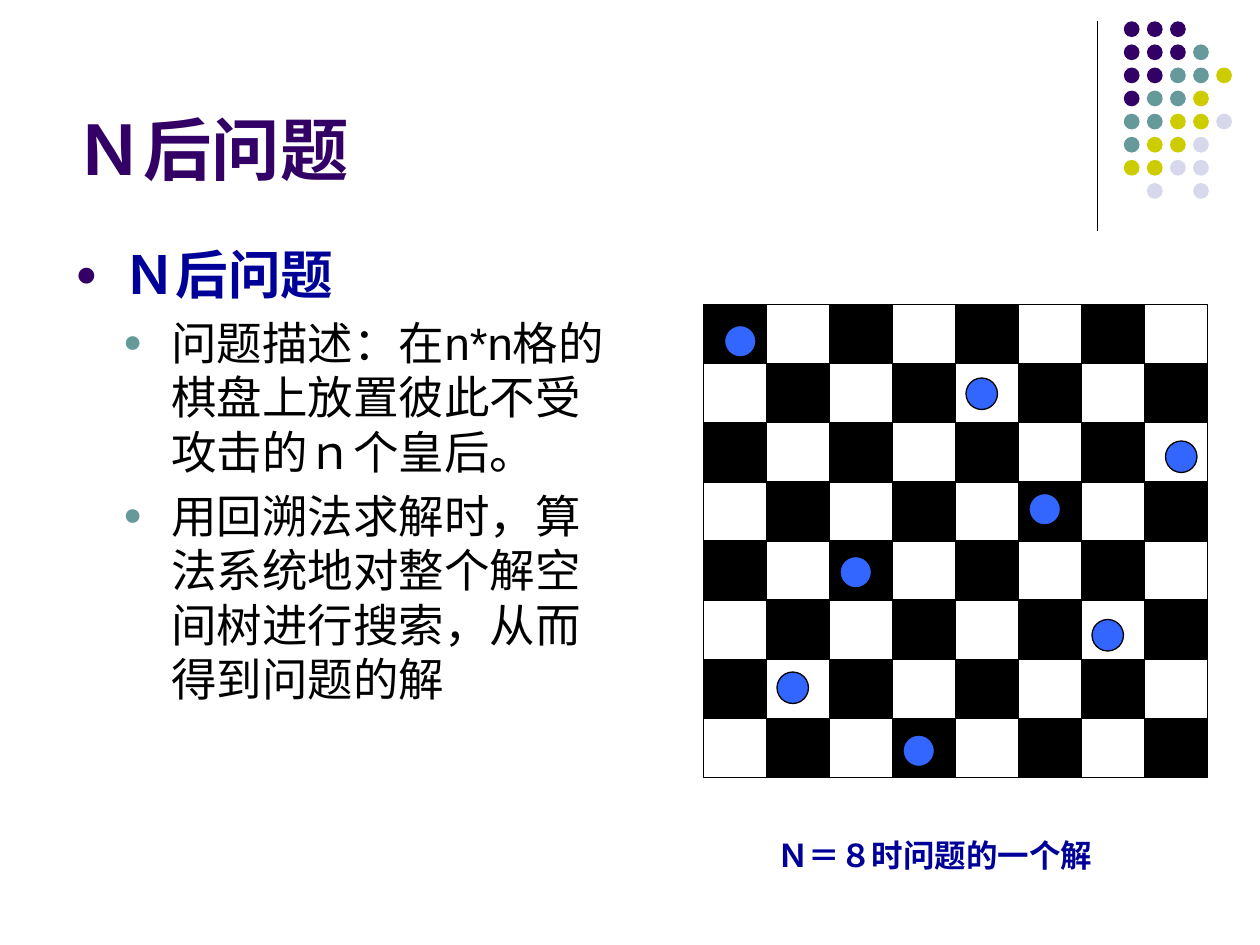
import pptx
import pptx.dml.color
import pptx.enum.shapes
import pptx.enum.text
import pptx.oxml.ns
import pptx.util
import lxml.etree

Pt = pptx.util.Pt
SHAPES = pptx.enum.shapes.MSO_SHAPE

THEME = {
    "font": "Arial",
    "title": "330066", "heading": "000099", "text": "000000",
    "bullet": "669999", "queen": "3366FF",
    "dark": "000000", "light": "FFFFFF", "outline": "000000",
    "dots": {"P": "330066", "T": "669999", "Y": "CCCC00", "L": "D8D8EC"},
    "title_size": 39, "heading_size": 30, "body_size": 26, "caption_size": 18,
}

TITLE = "Ｎ后问题"
BODY = [  # level, text
    (0, "Ｎ后问题"),
    (1, "问题描述：在n*n格的棋盘上放置彼此不受攻击的ｎ个皇后。"),
    (1, "用回溯法求解时，算法系统地对整个解空间树进行搜索，从而得到问题的解"),
]
CAPTION = "Ｎ＝８时问题的一个解"
DOT_ROWS = ["PPP", "PPPT", "PPTTY", "PTTY", "TTYYL", "TYYL", "YYLL", " L L"]
QUEENS = [  # left, top
    (414, 186), (552, 216), (666, 252), (588, 282),
    (480, 318), (624, 354), (444, 384), (516, 420),
]

DOT_LEFT, DOT_TOP, DOT_PITCH, DOT_SIZE = 642.2, 12.2, 13.2, 9
BOARD_LEFT, BOARD_TOP, BOARD_SIDE = 402, 174, 8
CELL_WIDTH, CELL_HEIGHT, QUEEN_SIZE = 36, 33.8, 18
INDENT = 27.36
LINE_RATIO = 1.2


def rgb(value):
    return pptx.dml.color.RGBColor.from_string(value)


def add_figure(shapes, kind, left, top, width, height, fill, outline=None):
    shape = shapes.add_shape(kind, Pt(left), Pt(top), Pt(width), Pt(height))
    shape.shadow.inherit = False
    shape.fill.solid()
    shape.fill.fore_color.rgb = rgb(fill)
    if outline:
        shape.line.color.rgb = rgb(outline)
        shape.line.width = Pt(0.75)
    else:
        shape.line.fill.background()


def add_text_frame(slide, left, top, width, height):
    frame = slide.shapes.add_textbox(Pt(left), Pt(top), Pt(width), Pt(height)).text_frame
    frame.word_wrap = True
    return frame


def write(paragraph, text, size, color, bold):
    paragraph.text = text
    font = paragraph.font
    font.name = THEME["font"]
    font.size = Pt(size)
    font.bold = bold
    font.color.rgb = rgb(color)
    for run in paragraph.runs:
        properties = run.font._element
        east_asian = lxml.etree.SubElement(properties, pptx.oxml.ns.qn("a:ea"))
        east_asian.set("typeface", THEME["font"])


def add_bullet(paragraph, level, color):
    """Give the paragraph a hanging round bullet at 70 % of the text size."""
    properties = paragraph._p.get_or_add_pPr()
    properties.set("marL", str(Pt(INDENT * (level + 1))))
    properties.set("indent", str(-Pt(INDENT)))
    bullet = [
        ("buClr", {}), ("buSzPct", {"val": "70000"}),
        ("buFont", {"typeface": THEME["font"]}), ("buChar", {"char": "●"}),
    ]
    defaults = properties.find(pptx.oxml.ns.qn("a:defRPr"))
    for tag, attributes in bullet:
        element = lxml.etree.Element(pptx.oxml.ns.qn("a:" + tag), attributes)
        if tag == "buClr":
            lxml.etree.SubElement(element, pptx.oxml.ns.qn("a:srgbClr"), val=color)
        defaults.addprevious(element)


def add_corner_decoration(slide):
    rule = slide.shapes.add_connector(
        pptx.enum.shapes.MSO_CONNECTOR.STRAIGHT, Pt(627), Pt(12), Pt(627), Pt(132))
    rule.line.color.rgb = rgb(THEME["outline"])
    rule.line.width = Pt(0.75)
    lxml.etree.SubElement(rule._element.spPr, pptx.oxml.ns.qn("a:effectLst"))
    dots = slide.shapes.add_group_shape().shapes
    for row, codes in enumerate(DOT_ROWS):
        for column, code in enumerate(codes):
            if code in THEME["dots"]:
                add_figure(dots, SHAPES.OVAL, DOT_LEFT + column * DOT_PITCH,
                           DOT_TOP + row * DOT_PITCH, DOT_SIZE, DOT_SIZE,
                           THEME["dots"][code])


def add_body(slide):
    frame = add_text_frame(slide, 36, 135, 318, 347)
    for index, (level, text) in enumerate(BODY):
        paragraph = frame.add_paragraph() if index else frame.paragraphs[0]
        heading = level == 0
        size = THEME["heading_size" if heading else "body_size"]
        write(paragraph, text, size, THEME["heading" if heading else "text"], heading)
        paragraph.level = level
        paragraph.line_spacing = Pt(size * LINE_RATIO)
        if index:
            paragraph.space_before = Pt(size * 0.2)
        add_bullet(paragraph, level, THEME["title" if heading else "bullet"])


def add_board(slide):
    cells = slide.shapes.add_group_shape().shapes
    for row in range(BOARD_SIDE):
        for column in range(BOARD_SIDE):
            color = THEME["light" if (row + column) % 2 else "dark"]
            add_figure(cells, SHAPES.RECTANGLE, BOARD_LEFT + column * CELL_WIDTH,
                       BOARD_TOP + row * CELL_HEIGHT, CELL_WIDTH, CELL_HEIGHT,
                       color, THEME["outline"])
    queens = slide.shapes.add_group_shape().shapes
    for left, top in QUEENS:
        add_figure(queens, SHAPES.OVAL, left, top, QUEEN_SIZE, QUEEN_SIZE,
                   THEME["queen"], THEME["outline"])


def main():
    presentation = pptx.Presentation()
    presentation.slide_width, presentation.slide_height = Pt(720), Pt(540)
    slide = presentation.slides.add_slide(presentation.slide_layouts[6])

    add_corner_decoration(slide)
    title = add_text_frame(slide, 36, 9.4, 594, 102.2)
    title.vertical_anchor = pptx.enum.text.MSO_ANCHOR.BOTTOM
    write(title.paragraphs[0], TITLE, THEME["title_size"], THEME["title"], True)
    add_body(slide)
    add_board(slide)
    caption = add_text_frame(slide, 414, 474, 240, 28.8)
    write(caption.paragraphs[0], CAPTION, THEME["caption_size"], THEME["heading"], True)
    caption.paragraphs[0].alignment = pptx.enum.text.PP_ALIGN.CENTER

    presentation.save("out.pptx")


if __name__ == "__main__":
    main()
